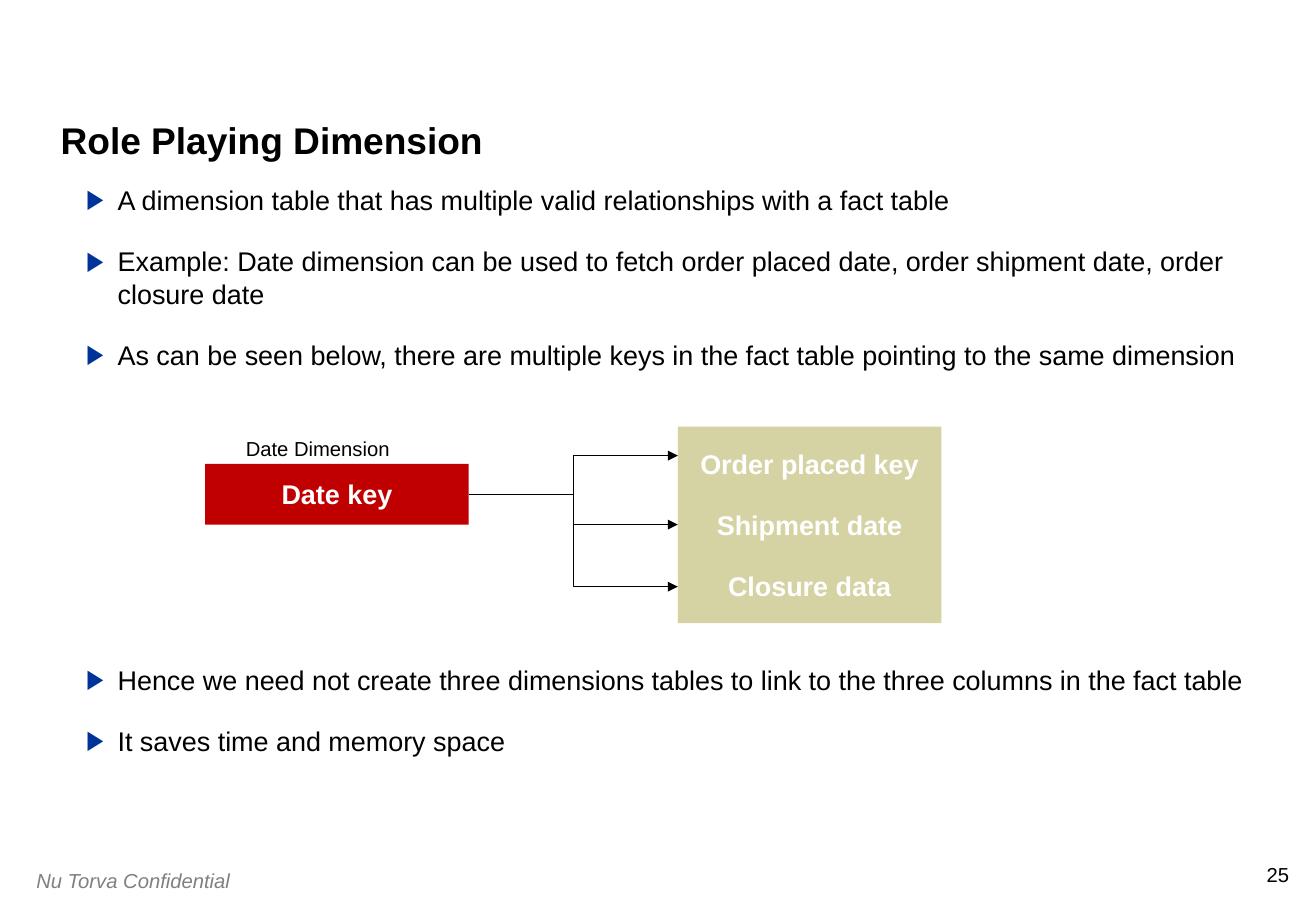
"""Build the role playing dimension slide."""
from dataclasses import dataclass

from pptx import Presentation
from pptx import util as u
from pptx.dml.color import RGBColor
from pptx.enum import shapes, text
from pptx.oxml import ns, xmlchemy

BLACK = RGBColor(0x00, 0x00, 0x00)
WHITE = RGBColor(0xFF, 0xFF, 0xFF)
GREY = RGBColor(0x80, 0x80, 0x80)
BLUE = RGBColor(0x00, 0x33, 0x99)
RED = RGBColor(0xC0, 0x00, 0x00)
SAND = RGBColor(0xD5, 0xD3, 0xA3)
FONT = "Arial"
INDENT = u.Cm(0.66)
PARAGRAPH_GAP = u.Pt(17)
ARROW_START = (9.8, 10.34)
ARROW_END_X = 14.17
ARROW_END_YS = (9.53, 10.97, 12.27)


@dataclass
class Block:
    """Text area with its place in centimetres and its style."""
    box: tuple[float, float, float, float]
    lines: list[str]
    size: int = 16
    color: RGBColor = BLACK
    bold: bool = False
    italic: bool = False
    align: text.PP_ALIGN = text.PP_ALIGN.LEFT
    anchor: text.MSO_ANCHOR = text.MSO_ANCHOR.TOP
    margins: tuple[float, float] = (0, 0)
    wrap: bool = True
    bullets: bool = False
    line_spacing: float | None = None
    fill: RGBColor | None = None


def key_box(box: tuple[float, float, float, float], lines: list[str], fill: RGBColor) -> Block:
    """Describe a filled box of table keys."""
    return Block(box, lines, color=WHITE, bold=True, align=text.PP_ALIGN.CENTER,
                 anchor=text.MSO_ANCHOR.MIDDLE, margins=(0.13, 0.13), wrap=False, fill=fill)


BLOCKS = [
    Block((26.42, 18.03, 0.53, 0.51), ["25"], size=12, align=text.PP_ALIGN.RIGHT, wrap=False),
    Block((0.51, 18.03, 5.08, 0.76), ["Nu Torva Confidential"], size=12, color=GREY,
          italic=True, margins=(0.25, 0.13)),
    Block((1.27, 1.07, 24.97, 2.34), ["Role Playing Dimension"], size=22, bold=True,
          anchor=text.MSO_ANCHOR.BOTTOM, line_spacing=0.9),
    Block((1.8, 3.84, 24.33, 4.22), [
        "A dimension table that has multiple valid relationships with a fact table",
        "Example: Date dimension can be used to fetch order placed date, "
        "order shipment date, order closure date",
        "As can be seen below, there are multiple keys in the fact table "
        "pointing to the same dimension",
    ], bullets=True),
    key_box((4.29, 9.7, 5.51, 1.27), ["Date key"], RED),
    key_box((14.17, 8.92, 5.51, 4.11),
            ["Order placed key", "Shipment date", "Closure data"], SAND),
    Block((4.88, 8.99, 3.53, 0.76), ["Date Dimension"], size=12,
          align=text.PP_ALIGN.CENTER, margins=(0.25, 0.13), wrap=False),
    Block((1.8, 13.87, 24.33, 2.44), [
        "Hence we need not create three dimensions tables to link to "
        "the three columns in the fact table",
        "It saves time and memory space",
    ], bullets=True),
]


def add_bullet(p) -> None:
    """Give a paragraph a hanging blue triangle."""
    pPr = p._p.get_or_add_pPr()
    pPr.set("marL", str(INDENT))
    pPr.set("indent", str(-INDENT))
    color = xmlchemy.OxmlElement("a:buClr")
    xmlchemy.OxmlElement("a:srgbClr")
    rgb = xmlchemy.OxmlElement("a:srgbClr")
    rgb.set("val", str(BLUE))
    color.append(rgb)
    font = xmlchemy.OxmlElement("a:buFont")
    font.set("typeface", FONT)
    char = xmlchemy.OxmlElement("a:buChar")
    char.set("char", "▶")
    pPr.extend([color, font, char])


def add_block(s, block: Block) -> None:
    """Draw a text box or a filled rectangle with text."""
    place = [u.Cm(v) for v in block.box]
    if block.fill is None:
        sp = s.shapes.add_textbox(*place)
    else:
        sp = s.shapes.add_shape(shapes.MSO_SHAPE.RECTANGLE, *place)
        sp.shadow.inherit = False
        sp.fill.solid()
        sp.fill.fore_color.rgb = block.fill
        sp.line.fill.background()
    tf = sp.text_frame
    tf.word_wrap = block.wrap
    tf.vertical_anchor = block.anchor
    tf.margin_left = tf.margin_right = u.Cm(block.margins[0])
    tf.margin_top = tf.margin_bottom = u.Cm(block.margins[1])
    tf.text = "\n".join(block.lines)
    for i, p in enumerate(tf.paragraphs):
        p.alignment = block.align
        if block.line_spacing:
            p.line_spacing = block.line_spacing
        if i:
            p.space_before = PARAGRAPH_GAP
        if block.bullets:
            add_bullet(p)
        for r in p.runs:
            r.font.name = FONT
            r.font.size = u.Pt(block.size)
            r.font.bold = block.bold
            r.font.italic = block.italic
            r.font.color.rgb = block.color


def add_arrow(s, end_y: float) -> None:
    """Draw an elbow arrow from the date key to one fact key."""
    x, y = ARROW_START
    line = s.shapes.add_connector(shapes.MSO_CONNECTOR.ELBOW, u.Cm(x), u.Cm(y),
                                  u.Cm(ARROW_END_X), u.Cm(end_y))
    line.line.color.rgb = BLACK
    line.line.width = u.Pt(0.75)
    tail = xmlchemy.OxmlElement("a:tailEnd")
    tail.set("type", "triangle")
    spPr = line._element.spPr
    spPr.find(ns.qn("a:ln")).append(tail)
    spPr.append(xmlchemy.OxmlElement("a:effectLst"))


def main() -> None:
    """Create and save the presentation."""
    prs = Presentation()
    prs.slide_width, prs.slide_height = u.Cm(27.51), u.Cm(19.05)
    s = prs.slides.add_slide(prs.slide_layouts[6])
    for block in BLOCKS:
        add_block(s, block)
    for end_y in ARROW_END_YS:
        add_arrow(s, end_y)
    prs.save("out.pptx")


if __name__ == "__main__":
    main()
